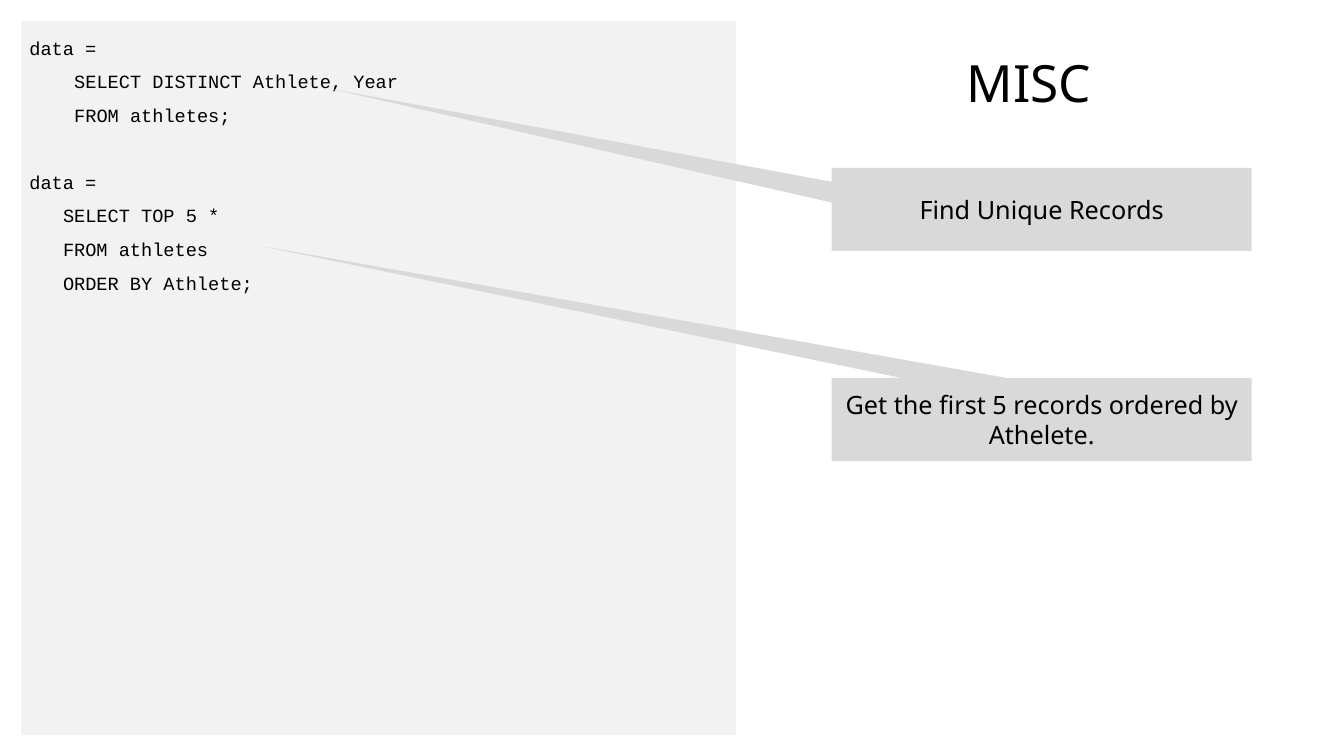
from pptx import Presentation
from pptx import util as u
from pptx.dml.color import RGBColor
from pptx.enum import shapes, text

BLACK = RGBColor(0x00, 0x00, 0x00)
PANEL_GREY = RGBColor(0xF2, 0xF2, 0xF2)
CALLOUT_GREY = RGBColor(0xD9, 0xD9, 0xD9)

CODE_FONT = {"name": "Courier New", "size": u.Pt(16)}
TITLE_FONT = {"name": "Noto Sans", "size": u.Pt(44)}
CALLOUT_FONT = {"name": "Noto Sans", "size": u.Pt(21.6)}
CENTERED = {"alignment": text.PP_ALIGN.CENTER}
MIDDLE = {"vertical_anchor": text.MSO_ANCHOR.MIDDLE, "word_wrap": True,
          "auto_size": text.MSO_AUTO_SIZE.NONE}
TOP = {**MIDDLE, "vertical_anchor": text.MSO_ANCHOR.TOP}

CODE_CHAR = 9.6  # width of one code character in points
QUERY_GAP = u.Pt(28.8)

# Each query: columns its body is indented by, then its body lines
QUERIES = [
    (4, ["SELECT DISTINCT Athlete, Year", "FROM athletes;"]),
    (3, ["SELECT TOP 5 *", "FROM athletes", "ORDER BY Athlete;"]),
]

# Each callout: top in cm, tip (x, y) in cm, wording
CALLOUTS = [
    (5.08, (10.02, 2.69), "Find Unique Records"),
    (11.43, (7.8, 7.42), "Get the first 5 records ordered by Athelete."),
]


def apply(target, values):
    for name, value in values.items():
        setattr(target, name, value)


def write(para, wording, font, layout):
    span = para.add_run()
    span.text = wording
    span.font.color.rgb = BLACK
    apply(span.font, font)
    apply(para, layout)


def add_block(page, kind, box, fill):
    block = page.shapes.add_shape(kind, *map(u.Cm, box))
    block.shadow.inherit = False
    block.fill.solid()
    block.fill.fore_color.rgb = fill
    block.line.fill.background()
    return block


def add_code_panel(page, box):
    panel = add_block(page, shapes.MSO_SHAPE.RECTANGLE, box, PANEL_GREY)
    frame = panel.text_frame
    apply(frame, TOP)
    for number, (columns, body) in enumerate(QUERIES):
        for row, wording in enumerate(["data =", *body]):
            first = number == row == 0
            para = frame.paragraphs[0] if first else frame.add_paragraph()
            starts_query = number > 0 and row == 0
            write(para, wording, CODE_FONT, {
                "alignment": text.PP_ALIGN.LEFT,
                "line_spacing": 1.5,
                "space_before": QUERY_GAP if starts_query else u.Pt(0),
            })
            if row:
                indent = u.Pt(columns * CODE_CHAR)
                para._p.get_or_add_pPr().set("marL", str(indent))


def add_title(page, box):
    title = page.shapes.title
    apply(title, dict(zip(("left", "top", "width", "height"), map(u.Cm, box))))
    apply(title.text_frame, MIDDLE)
    write(title.text_frame.paragraphs[0], "MISC", TITLE_FONT,
          {**CENTERED, "line_spacing": 0.9})


def add_callout(page, box, tip, wording):
    left, top, width, height = box
    callout = add_block(page, shapes.MSO_SHAPE.RECTANGULAR_CALLOUT, box,
                        CALLOUT_GREY)
    # The tip is set as an offset from the centre, in box widths and heights
    callout.adjustments[0] = (tip[0] - left) / width - 0.5
    callout.adjustments[1] = (tip[1] - top) / height - 0.5
    apply(callout.text_frame, MIDDLE)
    write(callout.text_frame.paragraphs[0], wording, CALLOUT_FONT, CENTERED)


def main():
    deck = Presentation()
    apply(deck, {"slide_width": u.Cm(40.64), "slide_height": u.Cm(22.86)})
    page = deck.slides.add_slide(deck.slide_layouts.get_by_name("Title Only"))

    # Code on the left, title and callouts on the right
    add_code_panel(page, (0.64, 0.64, 21.62, 21.59))
    add_title(page, (22.22, 0.64, 17.78, 3.89))
    for top, tip, wording in CALLOUTS:
        add_callout(page, (25.15, top, 12.7, 2.51), tip, wording)

    deck.save("out.pptx")


if __name__ == "__main__":
    main()
